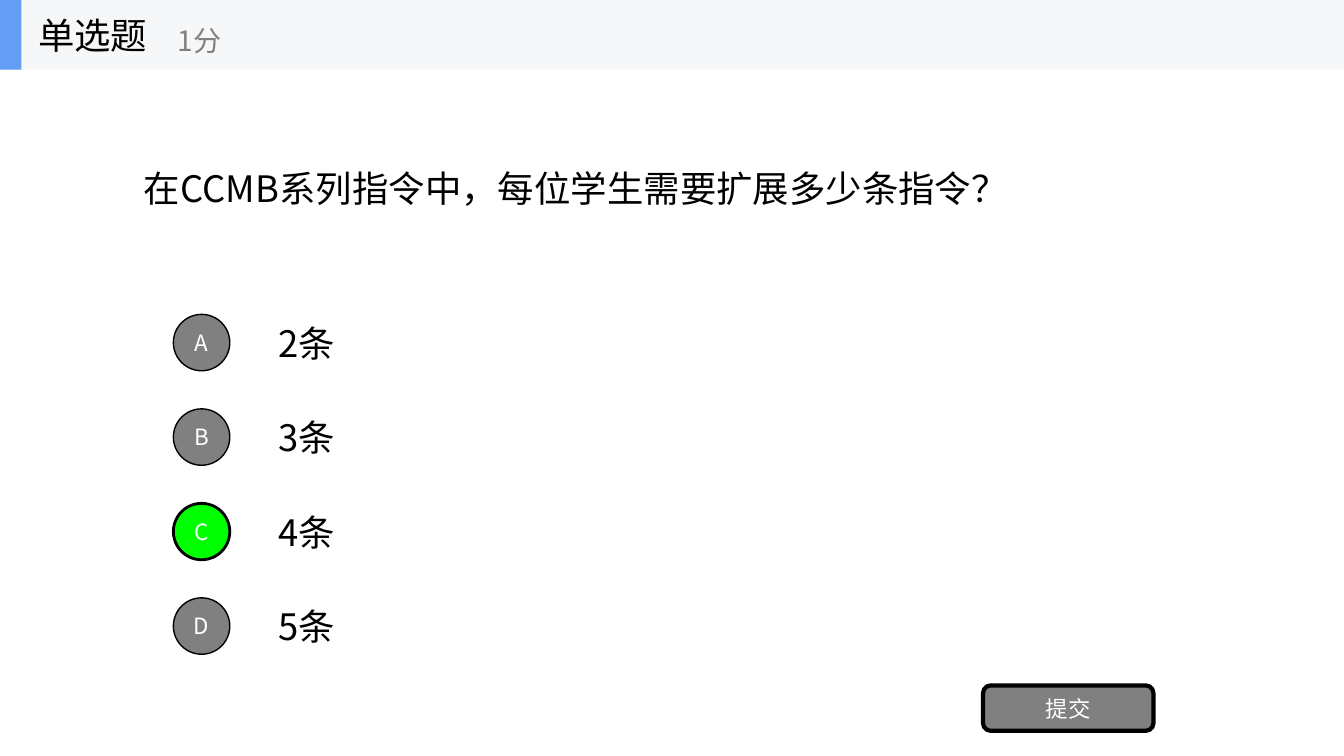
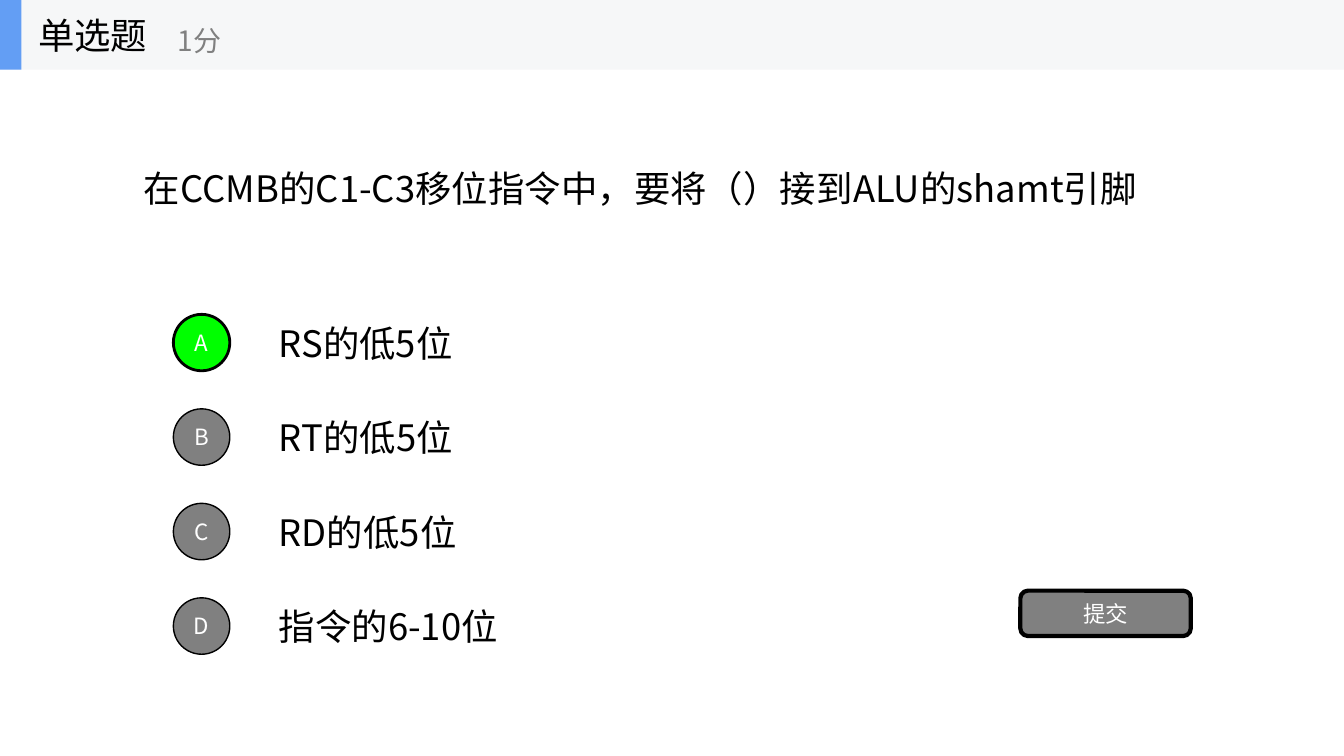
"""Build two single-choice quiz slides."""
from dataclasses import dataclass

from lxml import etree
from pptx import Presentation
from pptx.dml.color import RGBColor
from pptx.enum import shapes, text
from pptx.oxml import ns
from pptx import util as u

FONT = "Noto Sans CJK SC"
BLACK = RGBColor(0x00, 0x00, 0x00)
WHITE = RGBColor(0xFF, 0xFF, 0xFF)
GREY = RGBColor(0x80, 0x80, 0x80)
GREEN = RGBColor(0x00, 0xFF, 0x00)
BLUE = RGBColor(0x63, 0x9E, 0xF4)
PALE = RGBColor(0xF6, 0xF7, 0xF8)

TITLE_SIZE, SCORE_SIZE, LABEL_SIZE = 26, 20, 16
BADGE = 0.56
BUTTON = (1.69, 0.45)


@dataclass(frozen=True)
class Box:
    """A rectangle in inches."""
    left: float
    top: float
    width: float
    height: float

    def share(self, left, top, width, height):
        """Return the part of this box given by shares of its size."""
        return Box(self.left + left * self.width, self.top + top * self.height,
                   width * self.width, height * self.height)

    def row(self, index, count):
        """Return one of several equal rows."""
        return self.share(0, index / count, 1, 1 / count)

    def centred(self, width, height):
        """Return a box of the given size in the middle of this one."""
        return Box(self.left + (self.width - width) / 2,
                   self.top + (self.height - height) / 2, width, height)

    def emu(self):
        """Return the four lengths for python-pptx."""
        return [u.Inches(n) for n in (self.left, self.top, self.width, self.height)]


PAGE = Box(0, 0, 13.33, 7.5)
HEADER = Box(0, 0, PAGE.width, 0.69)
OPTIONS = Box(0, 2.93, PAGE.width, PAGE.height / 2)


@dataclass(frozen=True)
class Quiz:
    """The content of a slide and the places that vary."""
    question: str
    question_box: Box
    answers: tuple
    answer_size: tuple
    correct: int
    submit: Box


QUIZZES = (
    Quiz("在CCMB系列指令中，每位学生需要扩展多少条指令？",
         Box(1.33, 1.6, 8.94, 0.53),
         ("2条", "3条", "4条", "5条"), (0.88, 0.53), 2, Box(9.75, 6.8, *BUTTON)),
    Quiz("在CCMB的C1-C3移位指令中，要将（）接到ALU的shamt引脚",
         Box(1.33, 0.69, 10.67, 2.34),
         ("RS的低5位", "RT的低5位", "RD的低5位", "指令的6-10位"),
         (9.33, 0.7), 0, Box(10.12, 5.86, *BUTTON)),
)


def write(frame, words, size, colour, align=text.PP_ALIGN.LEFT):
    """Write one run in a vertically centred frame."""
    frame.word_wrap = True
    frame.vertical_anchor = text.MSO_ANCHOR.MIDDLE
    paragraph = frame.paragraphs[0]
    paragraph.alignment = align
    run = paragraph.add_run()
    run.text = words
    run.font.size = u.Pt(size)
    run.font.color.rgb = colour
    run.font.name = FONT
    east_asian = etree.SubElement(run.font._element, ns.qn("a:ea"))
    east_asian.set("typeface", FONT)


def add_text(parent, box, words, size=TITLE_SIZE, colour=BLACK):
    """Add a left-aligned text box."""
    write(parent.add_textbox(*box.emu()).text_frame, words, size, colour)


def add_block(parent, kind, box, fill, border=0):
    """Add a filled preset shape, bordered if a width is given."""
    block = parent.add_shape(kind, *box.emu())
    block.shadow.inherit = False
    block.fill.solid()
    block.fill.fore_color.rgb = fill
    if border:
        block.line.color.rgb = BLACK
        block.line.width = u.Pt(border)
    else:
        block.line.fill.background()
    return block


def add_label(parent, kind, box, words, fill, border):
    """Add a bordered shape with a white centred label."""
    frame = add_block(parent, kind, box, fill, border).text_frame
    frame.margin_left = frame.margin_right = 0
    frame.margin_top = frame.margin_bottom = 0
    write(frame, words, LABEL_SIZE, WHITE, text.PP_ALIGN.CENTER)


def add_header(slide, box):
    """Add the grouped band with question type and score."""
    group = slide.shapes.add_group_shape().shapes
    add_block(group, shapes.MSO_SHAPE.RECTANGLE, box, PALE)
    add_block(group, shapes.MSO_SHAPE.RECTANGLE, box.share(0, 0, 0.016, 1), BLUE)
    add_text(group, box.share(0.021, 0, 0.156, 1), "单选题")
    add_text(group, box.share(0.125, 0.18, 0.19, 0.81), "1分", SCORE_SIZE, GREY)


def add_options(slide, box, quiz):
    """Add one row of badge and answer per option."""
    for index, (letter, answer) in enumerate(zip("ABCD", quiz.answers)):
        row = box.row(index, len(quiz.answers))
        width, height = quiz.answer_size
        line = row.centred(row.width, height)
        add_text(slide.shapes, line.share(0.2, 0, width / row.width, 1), answer)
        fill, border = (GREEN, 2) if index == quiz.correct else (GREY, 1)
        badge = row.share(0.1, 0, 0.1, 1).centred(BADGE, BADGE)
        add_label(slide.shapes, shapes.MSO_SHAPE.OVAL, badge, letter, fill, border)


def add_quiz(deck, quiz):
    """Add a slide for one question."""
    slide = deck.slides.add_slide(deck.slide_layouts[6])
    add_text(slide.shapes, quiz.question_box, quiz.question)
    add_options(slide, OPTIONS, quiz)
    add_label(slide.shapes, shapes.MSO_SHAPE.ROUNDED_RECTANGLE, quiz.submit,
              "提交", GREY, 3)
    add_header(slide, HEADER)


def main():
    """Build and save the deck."""
    deck = Presentation()
    deck.slide_width = u.Inches(PAGE.width)
    deck.slide_height = u.Inches(PAGE.height)
    for quiz in QUIZZES:
        add_quiz(deck, quiz)
    deck.save("out.pptx")


if __name__ == "__main__":
    main()
